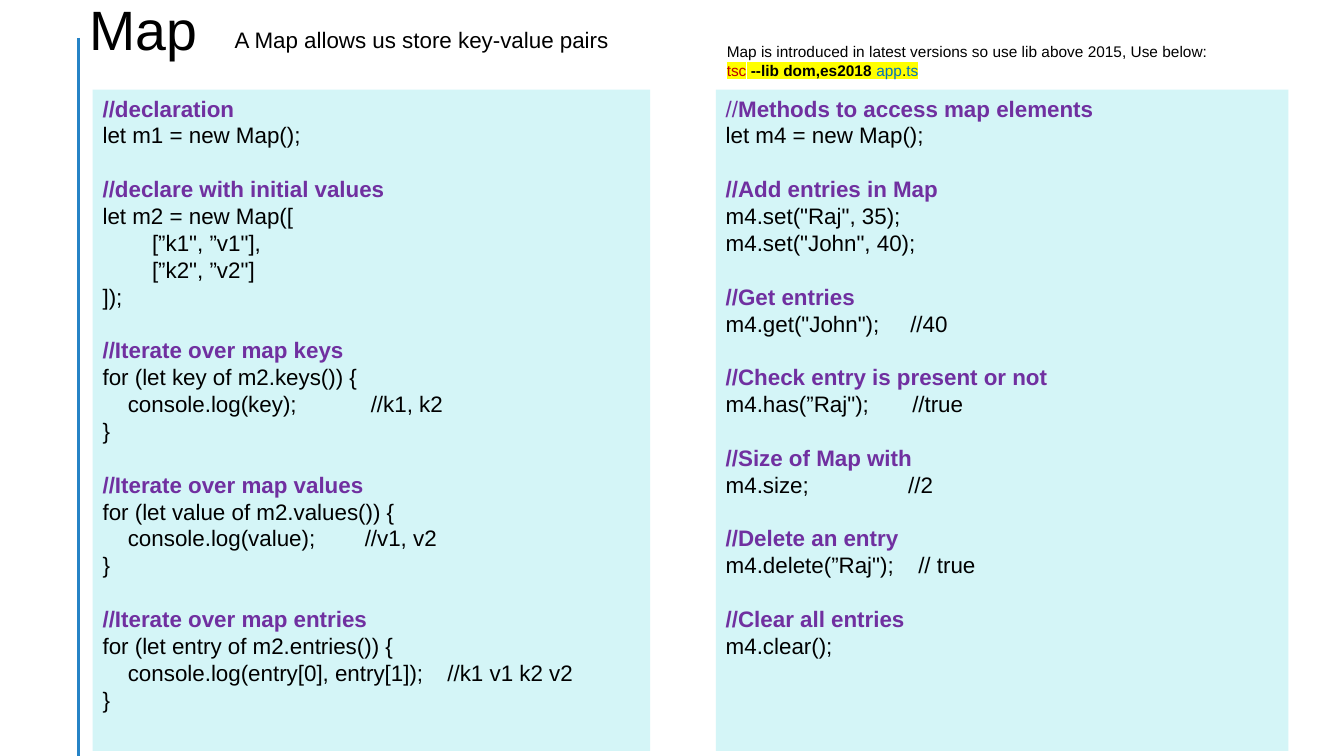
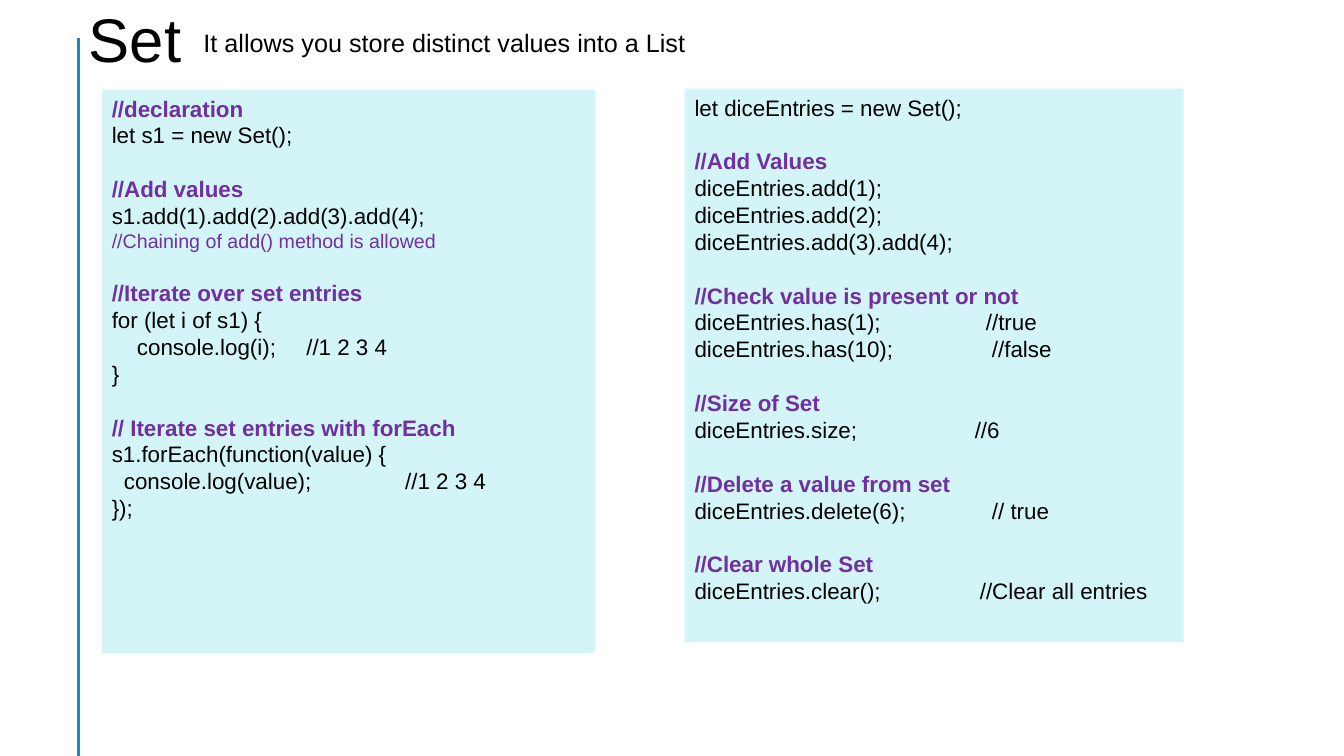
from dataclasses import dataclass

from lxml import etree
from pptx import Presentation
from pptx import util as u
from pptx.dml.color import RGBColor
from pptx.enum import shapes, text
from pptx.oxml.ns import qn

WIDTH, HEIGHT = u.Inches(13.33), u.Inches(7.5)
FONT = "Arial"
LEADING = 1.2
CODE_SIZE = 16
COLORS = {
    "ink": "000000",
    "heading": "7030A0",
    "panel": "D4F5F7",
    "rule": "2683C6",
    "command": "C00000",
    "file": "0070C0",
    "marker": "FFFF00",
}


@dataclass
class Line:
    code: str
    comment: str = ""
    stop: float = 0
    indent: float = 0
    size: int = CODE_SIZE
    color: str = "ink"


def color(name):
    return RGBColor.from_string(COLORS[name])


def area(left, top, width, height):
    return (int(WIDTH * left / 100), int(HEIGHT * top / 100),
            int(WIDTH * width / 100), int(HEIGHT * height / 100))


def style(font, size, ink="ink", bold=False):
    font.name = FONT
    font.size = u.Pt(size)
    font.bold = bold
    font.color.rgb = color(ink)


def next_paragraph(frame):
    first = frame.paragraphs[0]
    return frame.add_paragraph() if first.runs else first


def write(frame, content, size, ink="ink", bold=False):
    paragraph = next_paragraph(frame)
    paragraph.alignment = text.PP_ALIGN.LEFT
    paragraph.line_spacing = u.Pt(size * LEADING)
    style(paragraph.font, size, ink, bold)
    paragraph.add_run().text = content
    return paragraph


def set_tabs(paragraph, stops):
    tabs = etree.Element(qn("a:tabLst"))
    for stop in stops:
        etree.SubElement(tabs, qn("a:tab"), pos=str(u.Inches(stop)), algn="l")
    paragraph.font
    paragraph._p.pPr.find(qn("a:defRPr")).addprevious(tabs)


def write_line(frame, line):
    content = "\t" * bool(line.indent) + line.code
    if line.comment:
        content += "\t" + line.comment
    paragraph = write(frame, content, line.size, line.color)
    stops = [stop for stop in (line.indent, line.stop) if stop]
    if stops:
        set_tabs(paragraph, stops)


def write_heading(frame, heading):
    if isinstance(heading, str):
        return write(frame, heading, CODE_SIZE, "heading", True)
    lead, rest = heading
    paragraph = write(frame, lead, CODE_SIZE, "heading")
    run = paragraph.add_run()
    run.text = rest
    run.font.bold = True
    return paragraph


def code_panel(slide, box, sections):
    panel = slide.shapes.add_shape(shapes.MSO_SHAPE.RECTANGLE, *box)
    panel.shadow.inherit = False
    panel.fill.solid()
    panel.fill.fore_color.rgb = color("panel")
    panel.line.fill.background()
    frame = panel.text_frame
    frame.word_wrap = True
    frame.vertical_anchor = text.MSO_ANCHOR.TOP
    for number, (heading, *lines) in enumerate(sections):
        if heading:
            paragraph = write_heading(frame, heading)
            if number:
                paragraph.space_before = u.Pt(CODE_SIZE * LEADING)
        for line in lines:
            write_line(frame, Line(line) if isinstance(line, str) else line)


def topic_title(slide, box, topic, size):
    title = slide.shapes.title
    title.left, title.top, title.width, title.height = box
    frame = title.text_frame
    frame.auto_size = text.MSO_AUTO_SIZE.NONE
    frame.vertical_anchor = text.MSO_ANCHOR.MIDDLE
    write(frame, topic, size).line_spacing = 0.9


def text_area(slide, box):
    frame = slide.shapes.add_textbox(*box).text_frame
    frame.word_wrap = True
    return frame


def version_note(slide, box):
    frame = text_area(slide, box)
    write(frame, "Map is introduced in latest versions so use lib above 2015, Use below:", 11)
    command = write(frame, "tsc", 11)
    parts = [(" ", "ink", False), ("--lib dom,es2018 ", "ink", True),
             ("app", "file", False), (".", "ink", False), ("ts", "file", False)]
    command.runs[0].font.color.rgb = color("command")
    for content, ink, bold in parts:
        run = command.add_run()
        run.text = content
        run.font.bold = bold
        run.font.color.rgb = color(ink)
    for run in command.runs:
        marker = etree.Element(qn("a:highlight"))
        etree.SubElement(marker, qn("a:srgbClr"), val=COLORS["marker"])
        run.font._element.find(qn("a:solidFill")).addnext(marker)


def add_side_rule(slide):
    x = int(WIDTH * 0.0585)
    rule = slide.shapes.add_connector(
        shapes.MSO_CONNECTOR.STRAIGHT, x, int(HEIGHT * 0.05), x, HEIGHT)
    rule.line.color.rgb = color("rule")
    rule.line.width = u.Pt(2)
    etree.SubElement(rule.element.spPr, qn("a:effectLst"))
    rule.element.xpath(".//p:cNvPr")[0].set("id", "50")
    slide.slide_layout.shapes.element.append(rule.element)


MAP_BASICS = [
    ("//declaration", "let m1 = new Map();"),
    ("//declare with initial values", "let m2 = new Map([",
     Line("[”k1\", ”v1\"],", indent=0.49),
     Line("[”k2\", ”v2\"]", indent=0.49), "]);"),
    ("//Iterate over map keys", "for (let key of m2.keys()) {",
     Line("console.log(key);", "//k1, k2", 2.66, 0.25), "}"),
    ("//Iterate over map values", "for (let value of m2.values()) {",
     Line("console.log(value);", "//v1, v2", 2.6, 0.25), "}"),
    ("//Iterate over map entries", "for (let entry of m2.entries()) {",
     Line("console.log(entry[0], entry[1]);", "//k1 v1 k2 v2", 3.42, 0.25), "}"),
]
MAP_METHODS = [
    (("//", "Methods to access map elements"), "let m4 = new Map();"),
    ("//Add entries in Map", "m4.set(\"Raj\", 35);", "m4.set(\"John\", 40);"),
    ("//Get entries", Line("m4.get(\"John\");", "//40", 1.83)),
    ("//Check entry is present or not", Line("m4.has(”Raj\");", "//true", 1.85)),
    ("//Size of Map with", Line("m4.size;", "//2", 1.81)),
    ("//Delete an entry", Line("m4.delete(”Raj\");", "// true", 1.91)),
    ("//Clear all entries", "m4.clear();"),
]
SET_BASICS = [
    ("//declaration", "let s1 = new Set();"),
    ("//Add values", "s1.add(1).add(2).add(3).add(4);",
     Line("//Chaining of add() method is allowed", size=14, color="heading")),
    ("//Iterate over set entries", "for (let i of s1) {",
     Line("console.log(i);", "//1 2 3 4", 1.93, 0.25), "}"),
    ("// Iterate set entries with forEach", "s1.forEach(function(value) {",
     Line("console.log(value);", "//1 2 3 4", 2.91, 0.12), "});"),
]
SET_METHODS = [
    ("", "let diceEntries = new Set();"),
    ("//Add Values", "diceEntries.add(1);", "diceEntries.add(2);",
     "diceEntries.add(3).add(4);"),
    ("//Check value is present or not",
     Line("diceEntries.has(1);", "//true", 2.89),
     Line("diceEntries.has(10);", "//false", 2.95)),
    ("//Size of Set", Line("diceEntries.size;", "//6", 2.78)),
    ("//Delete a value from set", Line("diceEntries.delete(6);", "// true", 2.95)),
    ("//Clear whole Set", Line("diceEntries.clear();", "//Clear all entries", 2.83)),
]


def map_slide(slide):
    topic_title(slide, area(5.93, 0.13, 42.46, 8.4), "Map", 39.6)
    code_panel(slide, area(6.9, 11.87, 41.48, 87.47), MAP_BASICS)
    code_panel(slide, area(53.26, 11.87, 42.61, 87.47), MAP_METHODS)
    summary = text_area(slide, area(16.73, 2.8, 31.66, 4.93))
    write(summary, "A Map allows us store key-value pairs", 16)
    version_note(slide, area(53.34, 4.93, 43.44, 6.27))


def set_slide(slide):
    topic_title(slide, area(5.85, 0, 86.27, 11.33), "Set", 44)
    summary = text_area(slide, area(14.4, 2.93, 40.59, 5.33))
    write(summary, "It allows you store distinct values into a List", 18)
    code_panel(slide, area(7.58, 11.87, 36.68, 74.53), SET_BASICS)
    code_panel(slide, area(50.94, 11.73, 37.13, 73.2), SET_METHODS)


def main():
    deck = Presentation()
    deck.slide_width, deck.slide_height = WIDTH, HEIGHT
    title_only = deck.slide_layouts[5]
    for number, build in enumerate((map_slide, set_slide)):
        slide = deck.slides.add_slide(title_only)
        if number == 0:
            add_side_rule(slide)
        build(slide)
    deck.save("out.pptx")


if __name__ == "__main__":
    main()
